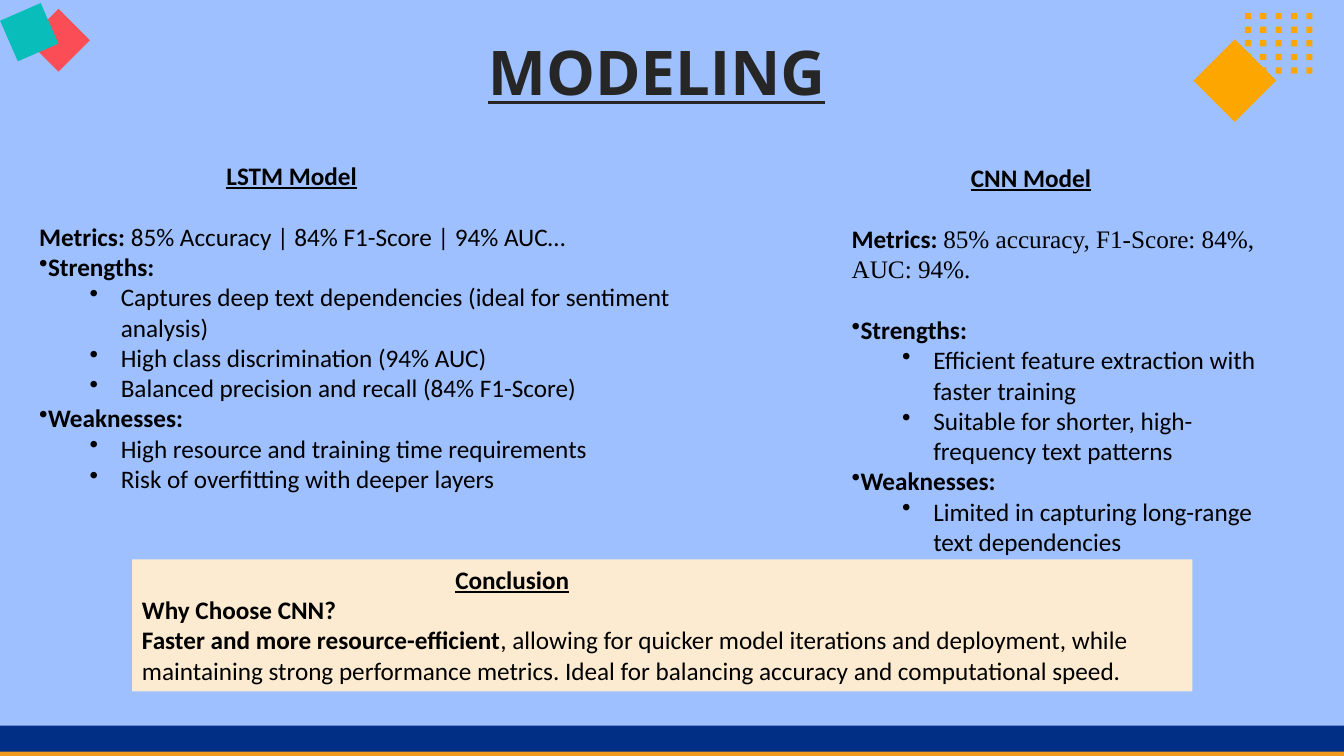
import pptx
import pptx.util
import pptx.dml.color
import pptx.enum.shapes
import pptx.enum.text
import pptx.oxml

deck = pptx.Presentation()
deck.slide_width = pptx.util.Inches(13.33)
deck.slide_height = pptx.util.Inches(7.5)
unit = deck.slide_width / 160
slide = deck.slides.add_slide(deck.slide_layouts[5])


def cells(*counts):
    return [round(count * unit) for count in counts]


def paint(target, tone):
    target.solid()
    target.fore_color.rgb = pptx.dml.color.RGBColor.from_string(tone)


paint(slide.background.fill, "9FC0FF")

for left, top, width, height, turn, tone in [
    (0, 87, 160, 3.12, 0, "F19A1B"),
    (0, 86.4, 160, 3.12, 0, "012F86"),
    (143.52, 6.12, 6.96, 6.96, 45, "FEA600"),
    (4.32, 2.16, 5.28, 5.28, 45, "FA4D56"),
    (0.84, 1.2, 5.28, 5.28, 66.4, "08BDBA"),
]:
    block = slide.shapes.add_shape(
        pptx.enum.shapes.MSO_SHAPE.RECTANGLE, *cells(left, top, width, height))
    block.rotation = turn
    block.shadow.inherit = False
    block.line.fill.background()
    paint(block.fill, tone)

dot = 0.73
pen = slide.shapes.build_freeform(*cells(148.2, 1.56))
for row in range(5):
    for col in range(5):
        left, top = 148.2 + 1.83 * col, 1.56 + 1.62 * row
        pen.move_to(*cells(left, top))
        pen.add_line_segments([
            cells(left + dot, top),
            cells(left + dot, top + dot),
            cells(left, top + dot),
        ])
dots = pen.convert_to_shape()
dots.shadow.inherit = False
dots.line.fill.background()
paint(dots.fill, "FEA600")

title = slide.shapes.title
title.left, title.top, title.width, title.height = cells(12.48, 3.48, 131.4, 10.08)
title.text_frame.text = "MODELING"
title.text_frame.vertical_anchor = pptx.enum.text.MSO_ANCHOR.TOP
title.text_frame.auto_size = pptx.enum.text.MSO_AUTO_SIZE.SHAPE_TO_FIT_TEXT
head = title.text_frame.paragraphs[0]
head.alignment = pptx.enum.text.PP_ALIGN.CENTER
head.font.name = "Open Sans"
head.font.size = pptx.util.Pt(44)
head.font.bold = True
head.font.underline = True
paint(head.font.fill, "262626")

lstm = [
    ("head", "LSTM Model", ""),
    ("gap", "Metrics:", " 85% Accuracy | 84% F1-Score | 94% AUC…"),
    ("list", "Strengths:", ""),
    ("sub", "", "Captures deep text dependencies (ideal for sentiment analysis)"),
    ("sub", "", "High class discrimination (94% AUC)"),
    ("sub", "", "Balanced precision and recall (84% F1-Score)"),
    ("list", "Weaknesses:", ""),
    ("sub", "", "High resource and training time requirements"),
    ("sub", "", "Risk of overfitting with deeper layers"),
]
cnn = [
    ("head", "CNN Model", ""),
    ("serif", "Metrics: ", "85% accuracy, F1-Score: 84%, AUC: 94%."),
    ("first", "Strengths:", ""),
    ("sub", "", "Efficient feature extraction with faster training"),
    ("sub", "", "Suitable for shorter, high-frequency text patterns"),
    ("list", "Weaknesses:", ""),
    ("sub", "", "Limited in capturing long-range text dependencies"),
]
end = [
    ("head", "Conclusion", ""),
    ("text", "Why Choose CNN?", ""),
    ("text", "Faster and more resource-efficient",
     ", allowing for quicker model iterations and deployment, while maintaining "
     "strong performance metrics. Ideal for balancing accuracy and computational speed."),
]

for place, shift, tone, lines in [
    ((3.48, 18.48, 80.76, 44.88), 22.3, None, lstm),
    ((100.2, 18.72, 52.08, 48.48), 14.2, None, cnn),
    ((15.72, 66.6, 126.24, 15.72), 37.3, "FCEBD1", end),
]:
    box = slide.shapes.add_textbox(*cells(*place))
    if tone:
        paint(box.fill, tone)
    frame = box.text_frame
    frame.word_wrap = True
    frame.auto_size = pptx.enum.text.MSO_AUTO_SIZE.SHAPE_TO_FIT_TEXT
    for count, (kind, strong, plain) in enumerate(lines):
        para = frame.add_paragraph() if count else frame.paragraphs[0]
        props = para._p.get_or_add_pPr()
        margin, indent = {"head": (shift, 0), "sub": (9.72, -3.72)}.get(kind, (0, 0))
        for key, size in zip(("marL", "indent"), cells(margin, indent)):
            props.set(key, str(size))
        if kind in ("list", "first", "sub"):
            mark = pptx.oxml.parse_xml(
                '<a:buChar xmlns:a="http://schemas.openxmlformats.org/drawingml/2006/main" char="•"/>')
            props.append(mark)
        if kind == "sub":
            para.level = 1
        if kind in ("gap", "serif", "first"):
            para.space_before = pptx.util.Pt(22)
        para.font.name = "Calibri"
        para.font.size = pptx.util.Pt(18)
        para.font.underline = kind == "head"
        paint(para.font.fill, "000000")
        for words, bold in ((strong, True), (plain, False)):
            if words:
                run = para.add_run()
                run.text = words
                run.font.bold = bold
                if kind == "serif" and not bold:
                    run.font.name = "Times New Roman"

deck.save("out.pptx")
